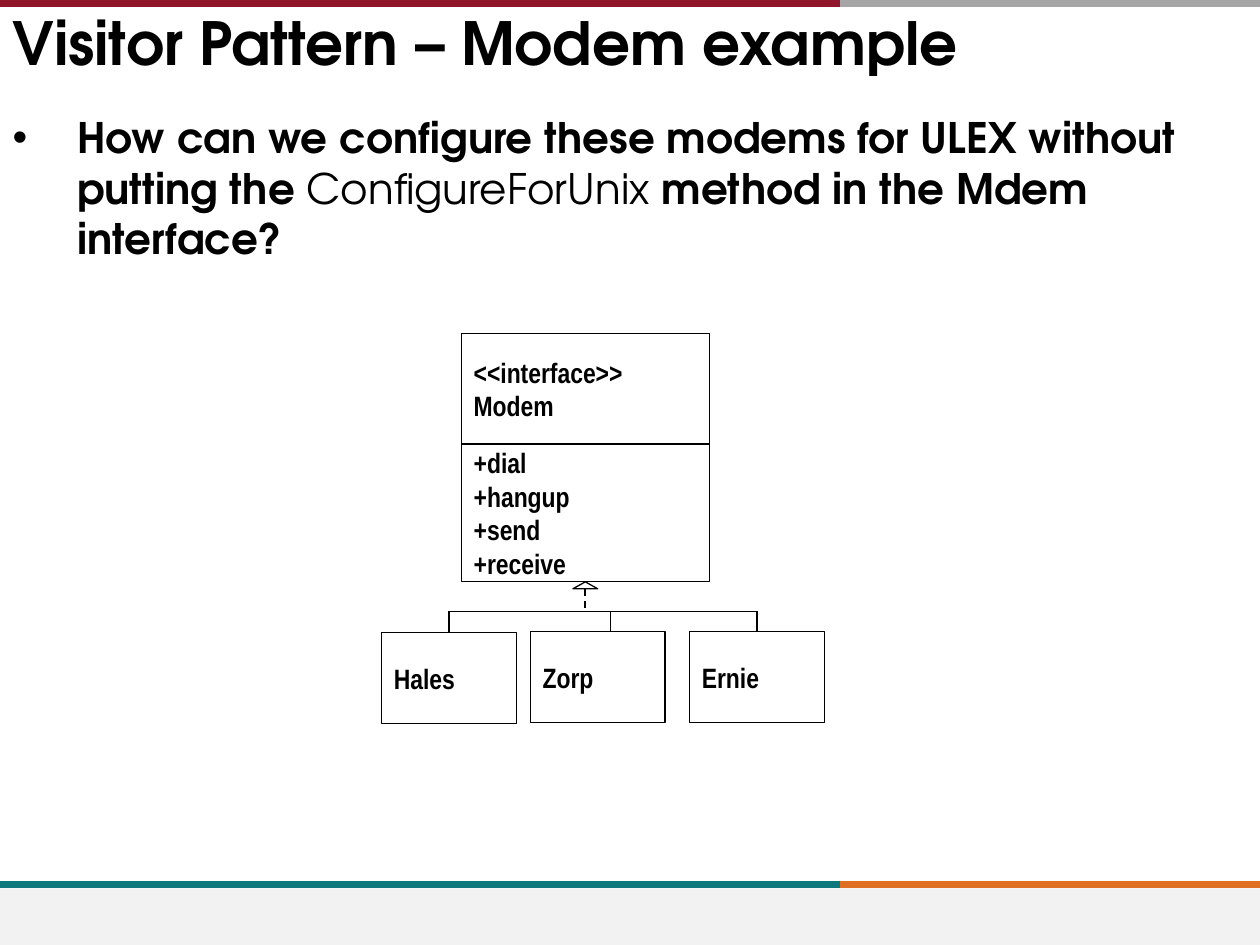
from pptx import Presentation
from pptx.dml.color import RGBColor
from pptx.enum.dml import MSO_LINE
from pptx.enum.shapes import MSO_CONNECTOR, MSO_SHAPE
from pptx.enum.text import MSO_ANCHOR, MSO_AUTO_SIZE, PP_ALIGN
from pptx.oxml.ns import qn
from pptx.util import Cm, Pt
from lxml.etree import SubElement

BLACK = "000000"
HEADING_FONT = "TeX Gyre Adventor"


def color(hex_string):
    return RGBColor.from_string(hex_string)


def add_line(x1, y1, x2, y2, hex_string, width):
    line = slide.shapes.add_connector(
        MSO_CONNECTOR.STRAIGHT, Cm(x1), Cm(y1), Cm(x2), Cm(y2))
    line.line.color.rgb = color(hex_string)
    line.line.width = Pt(width)
    SubElement(line._element.spPr, qn("a:effectLst"))
    return line


presentation = Presentation()
presentation.slide_width, presentation.slide_height = Cm(25.4), Cm(19.05)
slide = presentation.slides.add_slide(presentation.slide_layouts[1])

# Coloured bars and footer band
footer = slide.shapes.add_shape(
    MSO_SHAPE.RECTANGLE, 0, Cm(17.91), Cm(25.4), Cm(1.14))
footer.shadow.inherit = False
footer.fill.solid()
footer.fill.fore_color.rgb = color("F2F2F2")
footer.line.fill.background()
for y, left_color, right_color in [(0.07, "90152A", "A6A6A6"),
                                   (17.84, "0F787D", "DF7023")]:
    add_line(0, y, 16.93, y, left_color, 4)
    add_line(16.93, y, 25.4, y, right_color, 4)

# Title and question
title = slide.shapes.title
body = slide.placeholders[1]
title.left, title.top, title.width, title.height = 0, 0, Cm(25.22), Cm(1.98)
body.left, body.top, body.width, body.height = 0, Cm(2.13), Cm(25.4), Cm(3.81)

title.text_frame.text = "Visitor Pattern – Modem example"
question = body.text_frame.paragraphs[0]
for part in ["How can we configure these modems for ULEX without putting the ",
             "ConfigureForUnix", " method in the Mdem interface?"]:
    question.add_run().text = part
properties = question._p.get_or_add_pPr()
properties.set("marL", str(Cm(1.3)))
properties.set("indent", str(-Cm(1.3)))

for placeholder, size in [(title, 34), (body, 24)]:
    text_frame = placeholder.text_frame
    text_frame.auto_size = MSO_AUTO_SIZE.NONE
    text_frame.vertical_anchor = MSO_ANCHOR.TOP
    paragraph = text_frame.paragraphs[0]
    paragraph.alignment = PP_ALIGN.LEFT
    paragraph.space_before = Pt(0)
    for run in paragraph.runs:
        run.font.name = HEADING_FONT
        run.font.size = Pt(size)
        run.font.bold = run.text != "ConfigureForUnix"
        run.font.color.rgb = color(BLACK)

# Class boxes: the interface in two compartments, then the modems
boxes = {}
for name, text, left, top, width, height in [
        ("interface", "<<interface>>\vModem", 9.3, 6.73, 5, 2.22),
        ("methods", "+dial\v+hangup\v+send\v+receive", 9.3, 8.95, 5, 2.78),
        ("left modem", "Hales", 7.69, 12.75, 2.72, 1.83),
        ("middle modem", "Zorp", 10.69, 12.73, 2.72, 1.83),
        ("right modem", "Ernie", 13.9, 12.73, 2.72, 1.83)]:
    box = slide.shapes.add_shape(
        MSO_SHAPE.RECTANGLE, Cm(left), Cm(top), Cm(width), Cm(height))
    box.text_frame.text = text
    box.text_frame.word_wrap = True
    box.text_frame.vertical_anchor = MSO_ANCHOR.MIDDLE
    paragraph = box.text_frame.paragraphs[0]
    paragraph.alignment = PP_ALIGN.LEFT
    for run in paragraph.runs:
        run.font.name = "Arial Narrow"
        run.font.size = Pt(16)
        run.font.bold = True
        run.font.color.rgb = color(BLACK)
    boxes[name] = box

# Inheritance arrow
triangle = slide.shapes.add_shape(
    MSO_SHAPE.ISOSCELES_TRIANGLE, Cm(11.55), Cm(11.73), Cm(0.5), Cm(0.14))
for shape in [*boxes.values(), triangle]:
    shape.shadow.inherit = False
    shape.fill.background()
    shape.line.color.rgb = color(BLACK)
    shape.line.width = Pt(0.75)
stem = add_line(11.8, 11.87, 11.8, 12.29, BLACK, 1)
stem.line.dash_style = MSO_LINE.DASH

# Rail with a drop to each modem
rail_y = 12.32
add_line(9.05, rail_y, 15.26, rail_y, BLACK, 0.75)
add_line(12.3, rail_y, 12.3, 12.73, BLACK, 0.75)
for name, x in [("left modem", 9.05), ("right modem", 15.26)]:
    drop = add_line(x, rail_y, x, 12.73, BLACK, 0.75)
    drop.end_connect(boxes[name], 0)

presentation.save("out.pptx")
